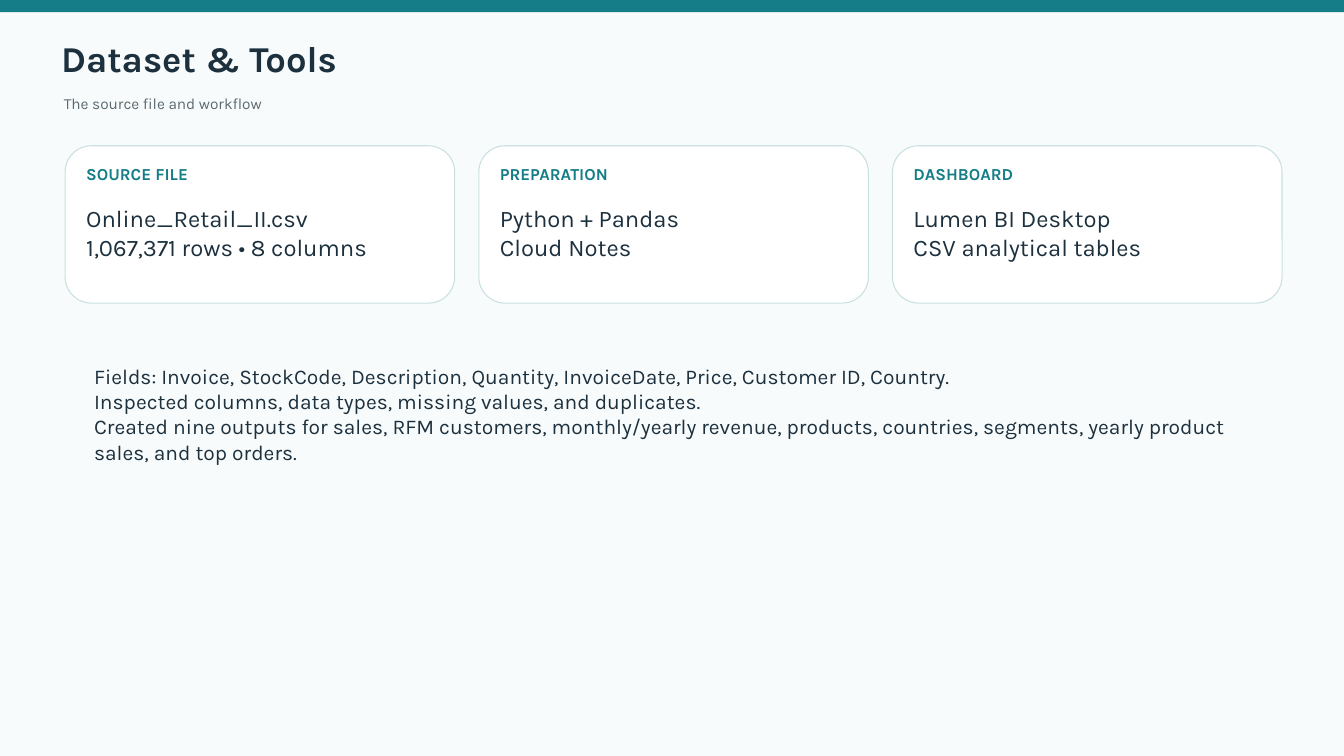
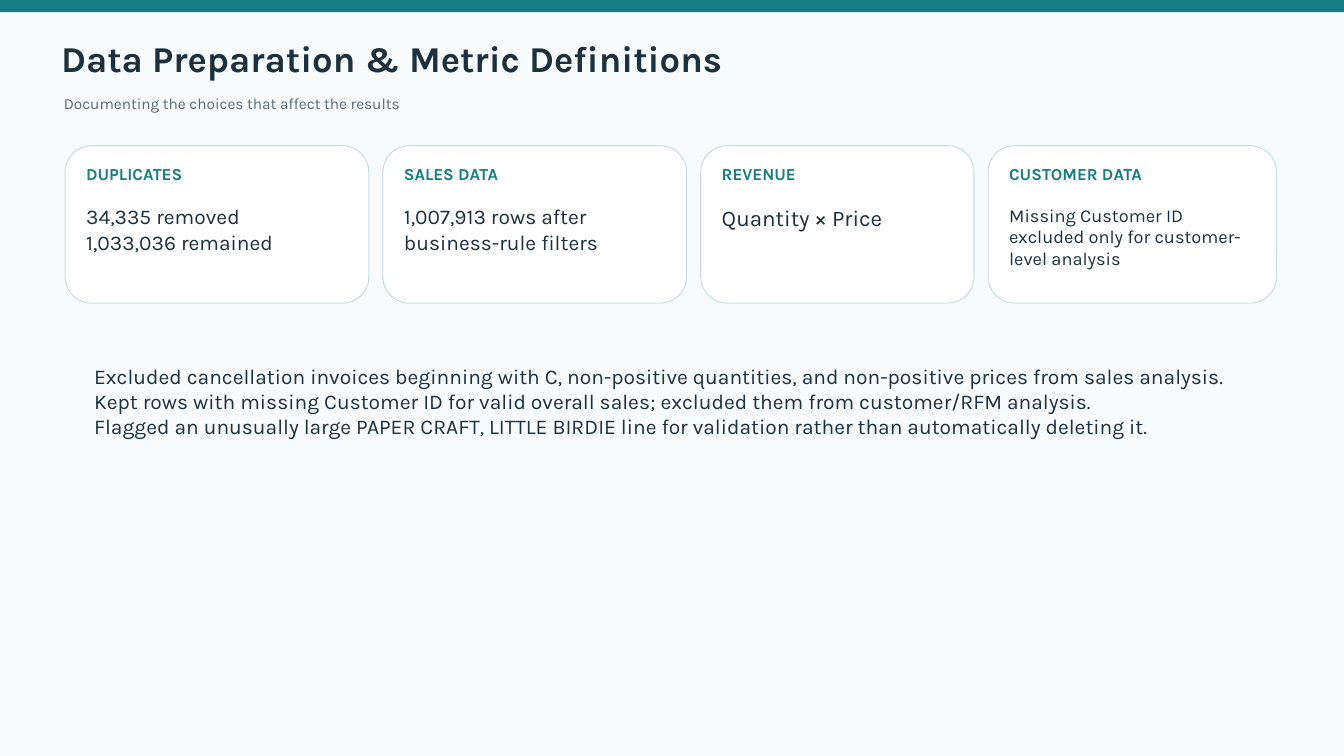
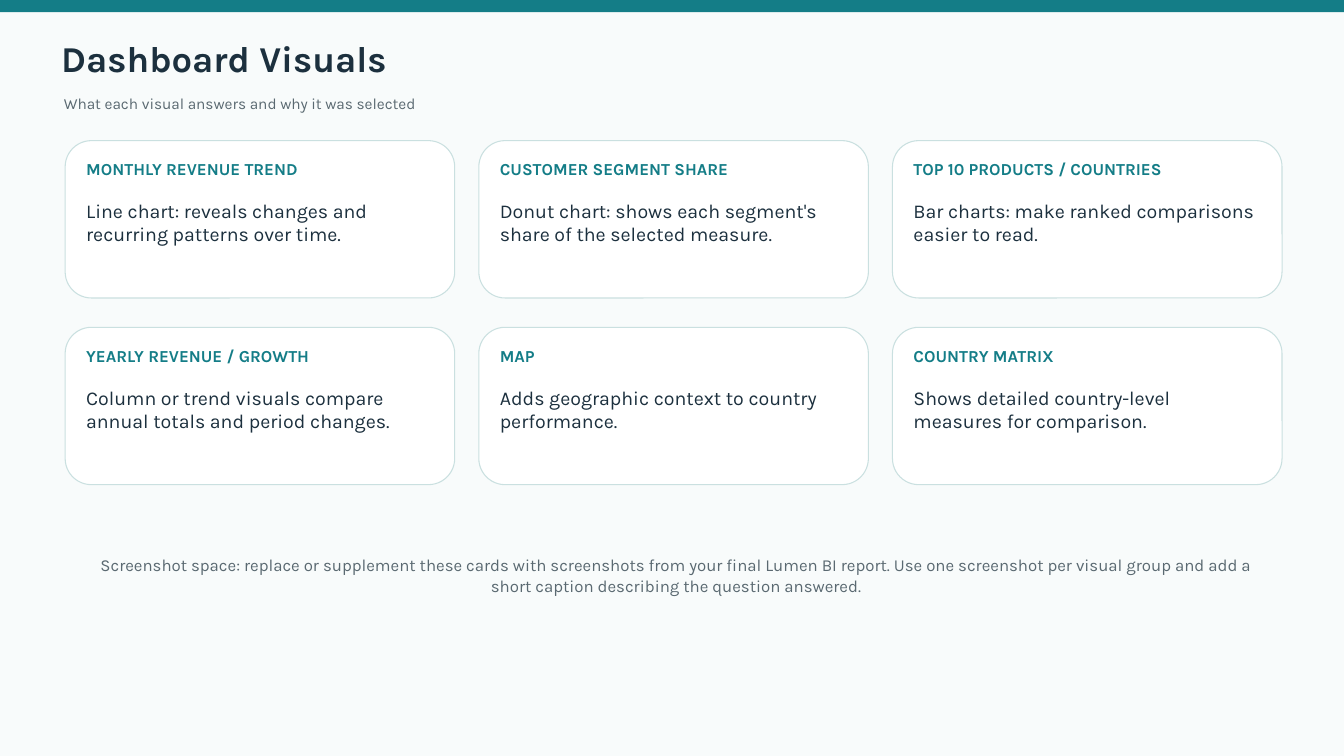
from pptx import Presentation
from pptx.dml.color import RGBColor
from pptx.enum.shapes import MSO_SHAPE
from pptx.enum.text import PP_ALIGN
from pptx.util import Pt

FONT = "Karla"
TEAL, INK, GREY = "147D87", "1C303E", "5A6971"
PAPER, WHITE, EDGE = "F8FBFB", "FFFFFF", "CAE0E0"
WIDE, HIGH = 1440, 810
LEFT, CARD_H, ROW_STEP = 69.8, 168.6, 200
PAD = 22.5


def tint(code):
    return RGBColor.from_string(code)


def write(slide, text, x, y, w, h, size=22.5, color=INK, bold=False,
          align=PP_ALIGN.LEFT):
    frame = slide.shapes.add_textbox(Pt(x), Pt(y), Pt(w), Pt(h)).text_frame
    frame.word_wrap = True
    frame.margin_left = frame.margin_right = 0
    frame.margin_top = frame.margin_bottom = 0
    frame.text = text
    for para in frame.paragraphs:
        para.alignment = align
        para.line_spacing = Pt(size * 1.2)
        for run in para.runs:
            font = run.font
            font.name, font.size, font.bold = FONT, Pt(size), bold
            font.color.rgb = tint(color)


def block(slide, kind, x, y, w, h, fill, line=None):
    shape = slide.shapes.add_shape(kind, Pt(x), Pt(y), Pt(w), Pt(h))
    shape.shadow.inherit = False
    shape.fill.solid()
    shape.fill.fore_color.rgb = tint(fill)
    if line:
        shape.line.color.rgb = tint(line)
        shape.line.width = Pt(1.13)
    else:
        shape.line.fill.background()


def page(deck, title, note):
    slide = deck.slides.add_slide(deck.slide_layouts[6])
    slide.background.fill.solid()
    slide.background.fill.fore_color.rgb = tint(PAPER)
    block(slide, MSO_SHAPE.RECTANGLE, 0, 0, WIDE, 13, TEAL)
    write(slide, title, 65.5, 38.2, 1307, 48, size=39, bold=True)
    write(slide, note, 68.4, 100.8, 1285, 26.6, size=16.5, color=GREY)
    return slide


def card(slide, x, y, w, label, text, size):
    block(slide, MSO_SHAPE.ROUNDED_RECTANGLE, x, y, w, CARD_H, WHITE, EDGE)
    inner = w - 2 * PAD
    write(slide, label, x + PAD, y + 19.4, inner, 26.6,
          size=18, color=TEAL, bold=True)
    write(slide, text, x + PAD, y + 62.3, inner, 89.5, size=size)


def row(slide, y, cards, widths, gap):
    x = LEFT
    for (label, text, size), w in zip(cards, widths):
        card(slide, x, y, w, label, text, size)
        x += w + gap


def thirds(slide, y, cards):
    row(slide, y, cards, [417.4] * 3, 25.8)


def notes(slide, text):
    write(slide, text, 100.8, 389.5, 1259, 282)


def tools(deck):
    slide = page(deck, "Dataset & Tools", "The source file and workflow")
    thirds(slide, 156.2, [
        ("SOURCE FILE",
         "Online_Retail_II.csv\n1,067,371 rows • 8 columns", 25.5),
        ("PREPARATION", "Python + Pandas\nCloud Notes", 25.5),
        ("DASHBOARD", "Lumen BI Desktop\nCSV analytical tables", 25.5),
    ])
    notes(slide,
          "Fields: Invoice, StockCode, Description, Quantity, InvoiceDate, "
          "Price, Customer ID, Country.\n"
          "Inspected columns, data types, missing values, and duplicates.\n"
          "Created nine outputs for sales, RFM customers, monthly/yearly "
          "revenue, products, countries, segments, yearly product sales, "
          "and top orders.")


def metrics(deck):
    slide = page(deck, "Data Preparation & Metric Definitions",
                 "Documenting the choices that affect the results")
    row(slide, 156.2, [
        ("DUPLICATES", "34,335 removed\n1,033,036 remained", 22.5),
        ("SALES DATA", "1,007,913 rows after business-rule filters", 22.5),
        ("REVENUE", "Quantity × Price", 24),
        ("CUSTOMER DATA", "Missing Customer ID excluded only for "
         "customer-level analysis", 19.5),
    ], [325.4, 325.4, 292.8, 309], 15.1)
    notes(slide,
          "Excluded cancellation invoices beginning with C, non-positive "
          "quantities, and non-positive prices from sales analysis.\n"
          "Kept rows with missing Customer ID for valid overall sales; "
          "excluded them from customer/RFM analysis.\n"
          "Flagged an unusually large PAPER CRAFT, LITTLE BIRDIE line for "
          "validation rather than automatically deleting it.")


def visuals(deck):
    slide = page(deck, "Dashboard Visuals",
                 "What each visual answers and why it was selected")
    rows = [
        [("MONTHLY REVENUE TREND", "Line chart: reveals changes and "
          "recurring patterns over time.", 21),
         ("CUSTOMER SEGMENT SHARE", "Donut chart: shows each segment's "
          "share of the selected measure.", 21),
         ("TOP 10 PRODUCTS / COUNTRIES", "Bar charts: make ranked "
          "comparisons easier to read.", 21)],
        [("YEARLY REVENUE / GROWTH", "Column or trend visuals compare "
          "annual totals and period changes.", 21),
         ("MAP", "Adds geographic context to country performance.", 21),
         ("COUNTRY MATRIX", "Shows detailed country-level measures for "
          "comparison.", 21)],
    ]
    for i, cards in enumerate(rows):
        thirds(slide, 150.7 + i * ROW_STEP, cards)
    write(slide,
          "Screenshot space: replace or supplement these cards with "
          "screenshots from your final Lumen BI report. Use one screenshot "
          "per visual group and add a short caption describing the question "
          "answered.",
          97.9, 594.7, 1253, 59, size=18, color=GREY, align=PP_ALIGN.CENTER)


def main():
    deck = Presentation()
    deck.slide_width, deck.slide_height = Pt(WIDE), Pt(HIGH)
    tools(deck)
    metrics(deck)
    visuals(deck)
    deck.save("out.pptx")


if __name__ == "__main__":
    main()
